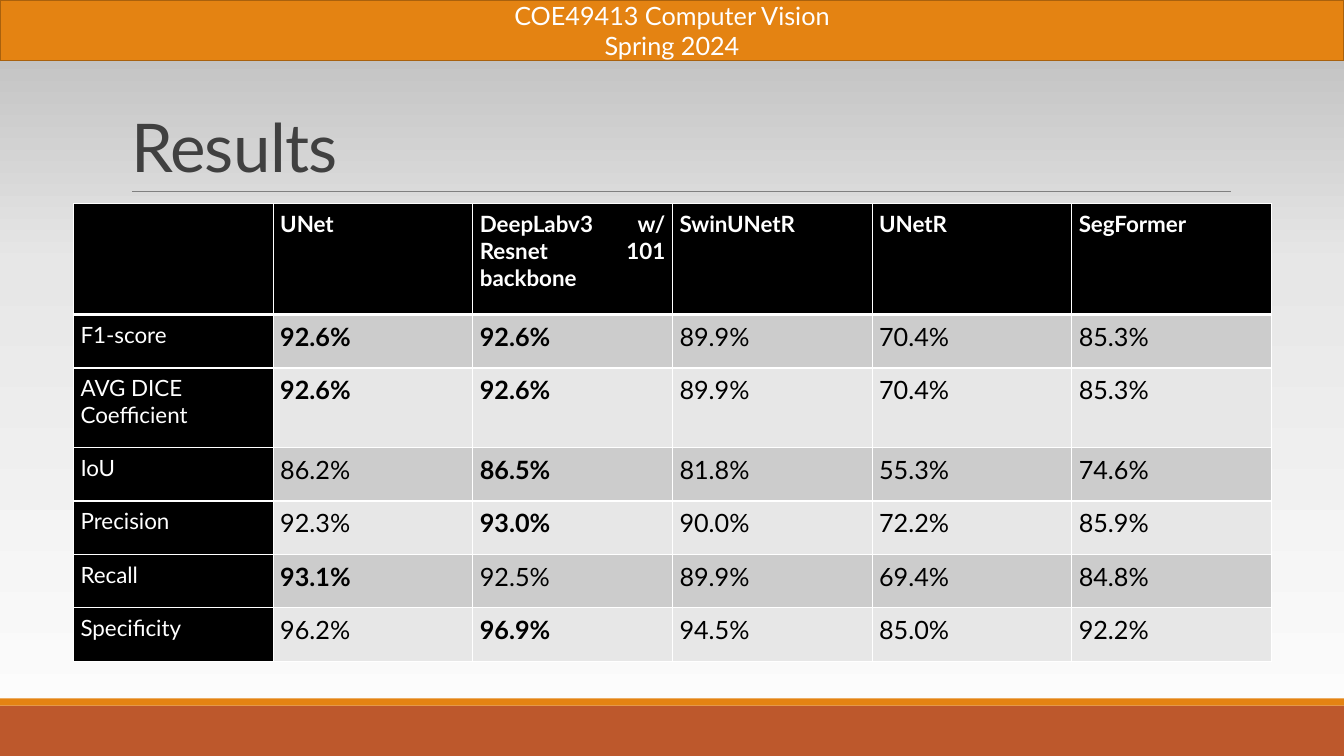
from copy import deepcopy
from dataclasses import dataclass

from pptx import Presentation
from pptx.dml.color import RGBColor
from pptx.enum.shapes import MSO_CONNECTOR, MSO_SHAPE
from pptx.enum.text import MSO_ANCHOR, MSO_AUTO_SIZE, PP_ALIGN
from pptx.oxml.ns import qn
from pptx.slide import Slide
from pptx.table import _Cell
from pptx.text.text import _Paragraph
from pptx.util import Emu, Pt
from lxml.etree import SubElement


@dataclass(frozen=True)
class Theme:
    font: str = "Lato"
    white: str = "FFFFFF"
    black: str = "000000"
    title: str = "404040"
    rule: str = "808080"
    orange: str = "E48312"
    orange_edge: str = "A9610D"
    rust: str = "BD582C"
    bands: tuple = ("CCCCCC", "E7E7E7")
    backdrop: tuple = ((0, "FEFEFE"), (0.65, "E7E7E7"), (1, "B9B9B9"))
    title_size: int = 48
    body_size: int = 18
    label_size: int = 16


@dataclass(frozen=True)
class Bar:
    top: int
    height: int
    fill: str
    edge: str = ""
    lines: tuple = ()


@dataclass(frozen=True)
class Metric:
    name: str
    scores: tuple
    height: int = 53


THEME = Theme()
PX = 9144  # EMU per px, 100 px to the inch
SLIDE_W, SLIDE_H = 1333, 750

BARS = (
    Bar(700, 50, THEME.rust),
    Bar(693, 7, THEME.orange),
    Bar(0, 60, THEME.orange, THEME.orange_edge,
        ("COE49413 Computer Vision", "Spring 2024")),
)
MODELS = ("UNet", "DeepLabv3 w/ Resnet 101 backbone", "SwinUNetR", "UNetR", "SegFormer")
METRICS = (
    Metric("F1-score", (92.6, 92.6, 89.9, 70.4, 85.3)),
    Metric("AVG DICE Coefficient", (92.6, 92.6, 89.9, 70.4, 85.3), 79),
    Metric("IoU", (86.2, 86.5, 81.8, 55.3, 74.6)),
    Metric("Precision", (92.3, 93.0, 90.0, 72.2, 85.9)),
    Metric("Recall", (93.1, 92.5, 89.9, 69.4, 84.8)),
    Metric("Specificity", (96.2, 96.9, 94.5, 85.0, 92.2)),
)
TABLE_LEFT, TABLE_TOP, COLUMN_W, HEADER_H = 73, 202, 198, 110
THIN, THICK = 1, 3


def px(n: int) -> Emu:
    return Emu(n * PX)


def rgb(color: str) -> RGBColor:
    return RGBColor.from_string(color)


def apply(target: object, **values: object) -> None:
    for name, value in values.items():
        setattr(target, name, value)


def write(p: _Paragraph, text: str, size: int, color: str,
          bold: bool = False, align: PP_ALIGN = PP_ALIGN.LEFT) -> None:
    p.alignment = align
    r = p.add_run()
    r.text = text
    apply(r.font, name=THEME.font, size=Pt(size), bold=bold)
    r.font.color.rgb = rgb(color)


def paint_background(s: Slide) -> None:
    fill = s.background.fill
    fill.gradient()
    fill.gradient_angle = 90
    stop_list = next(s.element.iter(qn("a:gsLst")))
    stop_list.append(deepcopy(stop_list[0]))
    for stop, (position, color) in zip(fill.gradient_stops, THEME.backdrop):
        stop.position = position
        stop.color.rgb = rgb(color)


def draw_bar(s: Slide, bar: Bar) -> None:
    sp = s.shapes.add_shape(MSO_SHAPE.RECTANGLE, 0, px(bar.top), px(SLIDE_W), px(bar.height))
    sp.shadow.inherit = False
    sp.fill.solid()
    sp.fill.fore_color.rgb = rgb(bar.fill)
    if bar.edge:
        sp.line.color.rgb = rgb(bar.edge)
        sp.line.width = Pt(1.25)
    else:
        sp.line.fill.background()
    tf = sp.text_frame
    tf.vertical_anchor = MSO_ANCHOR.MIDDLE
    for i, line in enumerate(bar.lines):
        p = tf.add_paragraph() if i else tf.paragraphs[0]
        write(p, line, THEME.body_size, THEME.white, align=PP_ALIGN.CENTER)


def draw_title(s: Slide, text: str) -> None:
    title = s.shapes.title
    apply(title, left=px(120), top=px(31), width=px(1100), height=px(159))
    tf = title.text_frame
    apply(tf, word_wrap=True, auto_size=MSO_AUTO_SIZE.NONE, vertical_anchor=MSO_ANCHOR.BOTTOM)
    p = tf.paragraphs[0]
    p.line_spacing = 0.85
    write(p, text, THEME.title_size, THEME.title)
    p.runs[0]._r.get_or_add_rPr().set("spc", "-50")


def draw_rule(s: Slide) -> None:
    rule = s.shapes.add_connector(MSO_CONNECTOR.STRAIGHT, px(131), px(190), px(1221), px(190))
    rule.line.color.rgb = rgb(THEME.rule)
    rule.line.width = Pt(0.5)
    SubElement(rule._element.spPr, qn("a:effectLst"))


def style_cell(cell: _Cell, fill: str, top: int, bottom: int) -> None:
    # Borders come before the fill in the cell properties
    tcPr = cell._tc.get_or_add_tcPr()
    for side, width in {"L": THIN, "R": THIN, "T": top, "B": bottom}.items():
        border = SubElement(tcPr, qn(f"a:ln{side}"), w=str(Pt(width)))
        SubElement(SubElement(border, qn("a:solidFill")), qn("a:srgbClr"), val=THEME.white)
    cell.fill.solid()
    cell.fill.fore_color.rgb = rgb(fill)
    apply(cell, margin_left=px(7), margin_right=px(7), margin_top=px(7), margin_bottom=px(7))


def draw_table(s: Slide) -> None:
    heights = [HEADER_H] + [m.height for m in METRICS]
    columns = len(MODELS) + 1
    table = s.shapes.add_table(len(heights), columns, px(TABLE_LEFT), px(TABLE_TOP),
                               px(COLUMN_W * columns), px(sum(heights))).table
    for column in table.columns:
        column.width = px(COLUMN_W)
    for row, height in zip(table.rows, heights):
        row.height = px(height)

    # Header row, with an empty corner
    style_cell(table.cell(0, 0), THEME.black, THIN, THICK)
    for col, model in enumerate(MODELS, 1):
        cell = table.cell(0, col)
        style_cell(cell, THEME.black, THIN, THICK)
        write(cell.text_frame.paragraphs[0], model, THEME.label_size, THEME.white,
              bold=True, align=PP_ALIGN.JUSTIFY)

    # Metric rows, best score in bold
    for row, metric in enumerate(METRICS, 1):
        top = THICK if row == 1 else THIN
        label = table.cell(row, 0)
        style_cell(label, THEME.black, top, THIN)
        write(label.text_frame.paragraphs[0], metric.name, THEME.label_size, THEME.white)
        for col, score in enumerate(metric.scores, 1):
            cell = table.cell(row, col)
            style_cell(cell, THEME.bands[(row - 1) % 2], top, THIN)
            write(cell.text_frame.paragraphs[0], f"{score:.1f}%", THEME.body_size,
                  THEME.black, bold=score == max(metric.scores))


def main() -> None:
    prs = Presentation()
    apply(prs, slide_width=px(SLIDE_W), slide_height=px(SLIDE_H))
    s = prs.slides.add_slide(prs.slide_layouts[5])
    paint_background(s)
    for bar in BARS:
        draw_bar(s, bar)
    draw_rule(s)
    draw_title(s, "Results")
    draw_table(s)
    prs.save("out.pptx")


if __name__ == "__main__":
    main()
